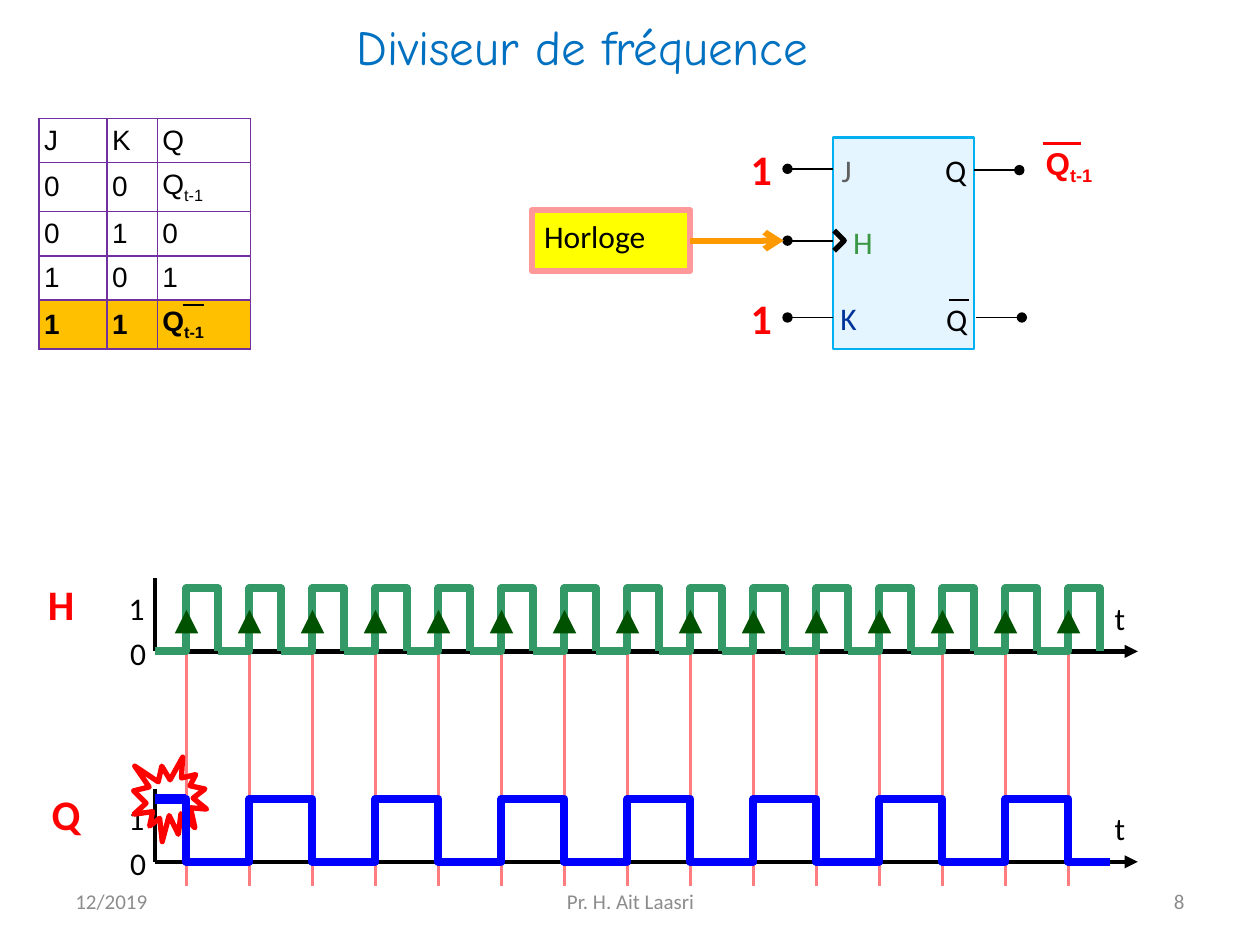
from dataclasses import dataclass

from lxml.etree import SubElement
from pptx import Presentation
from pptx.dml.color import RGBColor as RGB
from pptx.enum.shapes import MSO_CONNECTOR as Connector, MSO_SHAPE as Shape
from pptx.enum.text import MSO_ANCHOR as Anchor, PP_ALIGN as Align
from pptx.oxml.ns import qn
from pptx.util import Inches, Pt


@dataclass(frozen=True)
class Theme:
    body: str = "Calibri"
    symbol: str = "Arial"
    heading: str = "Comic Neue"
    title_size: float = 28
    big_size: float = 24
    label_size: float = 18
    cell_size: float = 16
    footer_size: float = 12
    black: str = "000000"
    red: str = "FF0000"
    title: str = "0070C0"
    footer: str = "8C8C8C"
    guide: str = "FF7C80"
    clock: str = "339966"
    edge: str = "005200"
    output: str = "0000FF"
    chip_fill: str = "CCECFF"
    chip_line: str = "00B0F0"
    input_j: str = "5F5F5F"
    input_k: str = "003399"
    input_h: str = "3B9744"
    notch: str = "F2F2F2"
    source_fill: str = "FFFF00"
    source_line: str = "FF9999"
    source_arrow: str = "FF9900"
    grid: str = "7030A0"
    highlight: str = "FFC000"


def apply(target, values):
    for name, value in values.items():
        setattr(target, name, value)


class Board:
    def __init__(self, slide, theme):
        self.shapes = slide.shapes
        self.theme = theme

    def run(self, paragraph, text, size, color, font=None, bold=False, sub=False):
        run = paragraph.add_run()
        run.text = text
        apply(run.font, {"name": font or self.theme.body, "size": Pt(size), "bold": bold})
        run.font.color.rgb = RGB.from_string(color)
        if sub:
            run.font._element.set("baseline", "-25000")

    def frame(self, frame, inset=(0.1, 0.05), anchor=Anchor.TOP, wrap=True):
        side, end = map(Inches, inset)
        apply(frame, {"margin_left": side, "margin_right": side, "margin_top": end,
                      "margin_bottom": end, "vertical_anchor": anchor, "word_wrap": wrap})
        return frame

    def text(self, at, text, size, color, align=Align.LEFT, font=None, bold=False,
             subscript=None, **layout):
        box = self.shapes.add_textbox(*map(Inches, at))
        paragraph = self.frame(box.text_frame, **layout).paragraphs[0]
        paragraph.alignment = align
        self.run(paragraph, text, size, color, font, bold)
        if subscript:
            self.run(paragraph, subscript, size, color, font, bold, sub=True)

    def pin(self, left, top, name, color):
        self.text((left, top, 0.18, 0.3), name, self.theme.label_size, color,
                  inset=(0, 0), anchor=Anchor.MIDDLE)

    def levels(self, left, top, name):
        theme, width = self.theme, 1.16 - left
        box = self.shapes.add_textbox(*map(Inches, (left, top, width, 0.67)))
        high = self.frame(box.text_frame, inset=(0, 0)).paragraphs[0]
        low = box.text_frame.add_paragraph()
        apply(high, {"alignment": Align.LEFT, "space_before": Pt(3)})
        apply(low, {"alignment": Align.RIGHT, "space_before": Pt(3)})
        stops = SubElement(high._p.get_or_add_pPr(), qn("a:tabLst"))
        SubElement(stops, qn("a:tab"), pos=str(Inches(width - 0.14)), algn="l")
        self.run(high, name, theme.big_size, theme.red, bold=True)
        self.run(high, "\t1", theme.label_size, theme.black)
        self.run(low, "0", theme.label_size, theme.black)

    def line(self, start, end, color, width, head=None, tail=None, source=None):
        line = self.shapes.add_connector(Connector.STRAIGHT, *map(Inches, start + end))
        if source:
            line.begin_connect(source, 3)
        line.line.color.rgb = RGB.from_string(color)
        line.line.width = Pt(width)
        outline = line.line._get_or_add_ln()
        for tag, kind in (("a:headEnd", head), ("a:tailEnd", tail)):
            if kind:
                SubElement(outline, qn(tag), type=kind)
        SubElement(line._element.spPr, qn("a:effectLst"))

    def paint(self, shape, color, width, fill=None, opacity=None):
        shape.shadow.inherit = False
        shape.line.color.rgb = RGB.from_string(color)
        shape.line.width = Pt(width)
        if not fill:
            shape.fill.background()
            return shape
        shape.fill.solid()
        shape.fill.fore_color.rgb = RGB.from_string(fill)
        if opacity:
            tint = shape._element.spPr.find(qn("a:solidFill"))[0]
            SubElement(tint, qn("a:alpha"), val=str(opacity * 1000))
        return shape

    def shape(self, kind, at, color, width, **fill):
        return self.paint(self.shapes.add_shape(kind, *map(Inches, at)), color, width, **fill)

    def trace(self, points, color, width, **fill):
        start, *rest = [tuple(map(Inches, point)) for point in points]
        builder = self.shapes.build_freeform(*start)
        builder.add_line_segments(rest, close=False)
        self.paint(builder.convert_to_shape(), color, width, **fill)

    def border(self, cell):
        for side in ("L", "R", "T", "B"):
            edge = SubElement(cell._tc.get_or_add_tcPr(), qn(f"a:ln{side}"), w=str(Pt(1)))
            SubElement(SubElement(edge, qn("a:solidFill")), qn("a:srgbClr"), val=self.theme.grid)

    def table(self, left, top, widths, heights, rows):
        theme = self.theme
        size = (left, top, sum(widths), sum(heights))
        table = self.shapes.add_table(len(rows), len(widths), *map(Inches, size)).table
        apply(table, {"first_row": False, "horz_banding": False})
        for column, width in zip(table.columns, widths):
            column.width = Inches(width)
        for r, (row, height) in enumerate(zip(rows, heights)):
            table.rows[r].height = Inches(height)
            last = r == len(rows) - 1
            for c, value in enumerate(row):
                cell = table.cell(r, c)
                inset = Inches(0.04)
                apply(cell, {"margin_left": inset, "margin_right": inset, "margin_top": inset,
                             "margin_bottom": inset, "vertical_anchor": Anchor.MIDDLE})
                self.border(cell)
                if last:
                    cell.fill.solid()
                    cell.fill.fore_color.rgb = RGB.from_string(theme.highlight)
                else:
                    cell.fill.background()
                base, _, index = value.partition("_")
                paragraph = cell.text_frame.paragraphs[0]
                self.run(paragraph, base, theme.cell_size, theme.black, theme.symbol, last)
                if index:
                    self.run(paragraph, index, theme.cell_size, theme.black, theme.symbol,
                             last, sub=True)


def timing(board, theme):
    origin, period, clock_low, output_low, swing = 1.23, 0.5, 5.17, 6.84, 0.5
    starts = [origin + period * i for i in range(15)]
    edges = [start + period / 2 for start in starts]
    for edge in edges:
        board.line((edge, clock_low), (edge, 7.03), theme.guide, 2)
    for name, left, low in (("Q", 0.41, output_low), ("H", 0.38, clock_low)):
        board.line((origin, low - 0.58), (origin, low), theme.black, 2.5)
        board.levels(left, low - 0.58, name)
        board.line((origin, low), (9.03, low), theme.black, 2.5, tail="triangle")
        board.text((3.3, low - 0.42, 5.63, 0.42), "t", theme.label_size, theme.black,
                   Align.RIGHT, inset=(0, 0))
    output_high = output_low - swing
    board.line((origin, output_high), (edges[0], output_high), theme.output, 6)
    board.shape(Shape.EXPLOSION1, (1.06, 6.01, 0.58, 0.67), theme.red, 3)
    for start, edge in zip(starts, edges):
        top, end = clock_low - swing, start + period
        board.trace([(start, clock_low), (edge, clock_low), (edge, top), (end, top),
                     (end, clock_low)], theme.clock, 4.5)
        board.line((edge, 5.01), (edge, 4.84), theme.edge, 4.5, tail="triangle")
    states = [output_high, output_low]
    wave = [(origin, output_high)]
    for i, edge in enumerate(edges):
        wave += [(edge, states[i % 2]), (edge, states[(i + 1) % 2])]
    board.trace(wave + [(8.81, output_low)], theme.output, 4.5)


def flip_flop(board, theme):
    board.shape(Shape.RECTANGLE, (6.61, 1.09, 1.12, 1.68), theme.chip_line, 1.5,
                fill=theme.chip_fill, opacity=50)
    for pin in ((6.67, 2.37, "K", theme.input_k), (7.5, 1.2, "Q", theme.black),
                (7.51, 2.38, "Q", theme.black), (6.68, 1.2, "J", theme.input_j),
                (6.77, 1.77, "H", theme.input_h)):
        board.pin(*pin)
    board.line((7.53, 2.38), (7.69, 2.38), theme.black, 1.5)
    for y, width in ((1.34, 1), (2.52, 0.75), (1.91, 1)):
        board.line((6.61, y), (6.25, y), theme.black, width, tail="oval")
    for x, y in ((8.11, 2.52), (8.09, 1.35)):
        board.line((x, y), (x - 0.36, y), theme.black, 0.75, head="oval")
    for top in (1.09, 2.27):
        board.text((5.86, top, 0.37, 0.5), "1", theme.big_size, theme.red, bold=True, wrap=False)
    source = board.shape(Shape.RECTANGLE, (4.22, 1.67, 1.26, 0.48), theme.source_line, 3.5,
                         fill=theme.source_fill)
    label = board.frame(source.text_frame).paragraphs[0]
    label.alignment = Align.LEFT
    board.run(label, "Horloge", theme.label_size, theme.black)
    board.line((5.48, 1.91), (6.22, 1.91), theme.source_arrow, 3.5, tail="arrow", source=source)
    board.trace([(6.62, 1.83), (6.7, 1.91), (6.62, 1.99)], theme.black, 3, fill=theme.notch)
    board.text((8.2, 1.09, 0.6, 0.4), "Q", theme.label_size, theme.red, font=theme.symbol,
               bold=True, subscript="t-1")
    board.line((8.28, 1.14), (8.58, 1.14), theme.red, 1.5)


def main():
    deck = Presentation()
    apply(deck, {"slide_width": Inches(10), "slide_height": Inches(7.5)})
    theme = Theme()
    board = Board(deck.slides.add_slide(deck.slide_layouts[6]), theme)
    timing(board, theme)
    board.text((2.73, 0.08, 4.23, 0.57), "Diviseur de fréquence", theme.title_size, theme.title,
               font=theme.heading, wrap=False)
    flip_flop(board, theme)
    board.table(0.31, 0.94, (0.54, 0.4, 0.74), (0.35, 0.39, 0.35, 0.35, 0.39),
                ("JKQ", ("0", "0", "Q_t-1"), "010", "101", ("1", "1", "Q_t-1")))
    board.line((1.45, 2.42), (1.62, 2.42), theme.black, 1.5)
    for left, width, text, align in ((0.5, 2.33, "12/2019", Align.LEFT),
                                     (7.17, 2.33, "8", Align.RIGHT),
                                     (3.42, 3.17, "Pr. H. Ait Laasri", Align.CENTER)):
        board.text((left, 6.95, width, 0.4), text, theme.footer_size, theme.footer, align,
                   anchor=Anchor.MIDDLE)
    deck.save("out.pptx")


if __name__ == "__main__":
    main()
